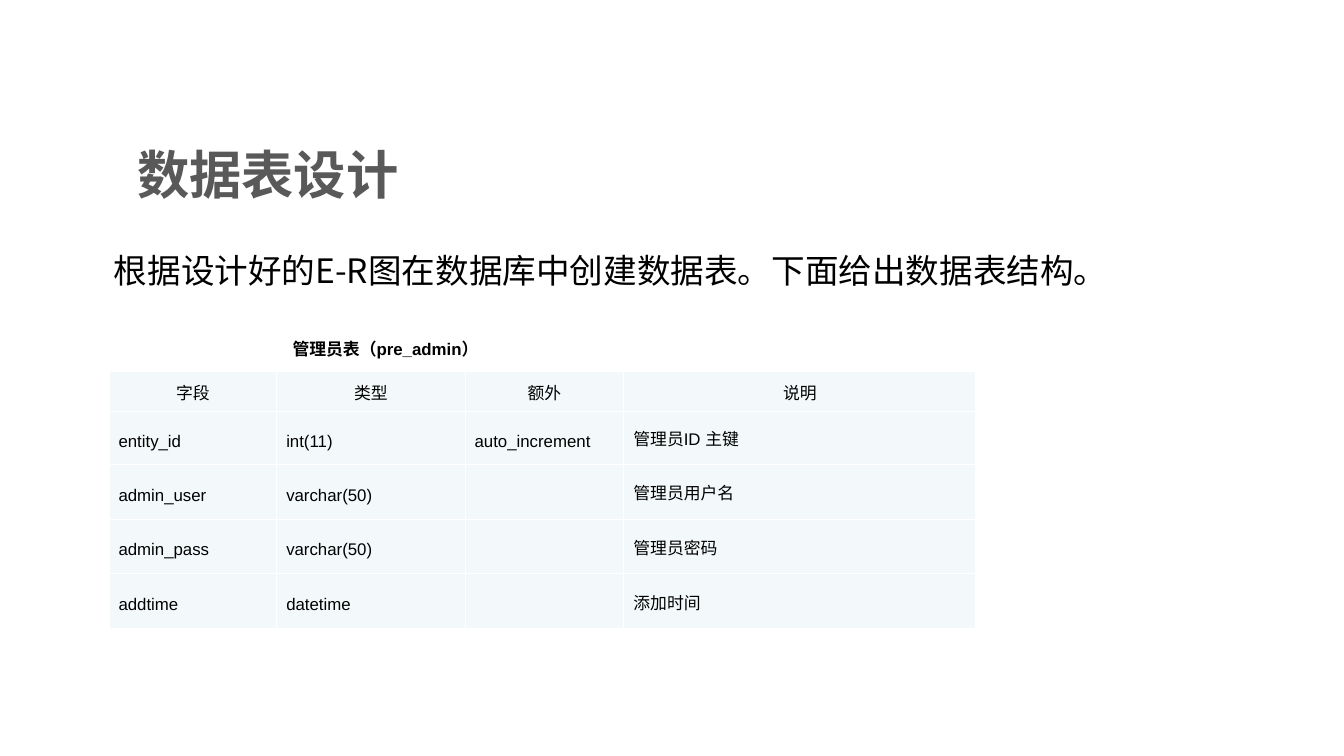
from lxml import etree
from pptx import Presentation
from pptx.dml.color import RGBColor
from pptx.enum.text import MSO_ANCHOR as Anchor, MSO_AUTO_SIZE as AutoSize, PP_ALIGN as Align
from pptx.oxml.ns import qn
from pptx.util import Cm, Pt

BLACK = RGBColor(0x00, 0x00, 0x00)
GRAY = RGBColor(0x59, 0x59, 0x59)
PALE_BLUE = RGBColor(0xF3, 0xF9, 0xFA)
WHITE = RGBColor(0xFF, 0xFF, 0xFF)
CHINESE_FONT = "Noto Sans CJK SC"
LATIN_FONT = "Arial"

COLUMN_WIDTHS = [3.17, 3.56, 3.0, 6.65]
ROW_HEIGHTS = [0.72, 1.0, 0.75, 0.75, 0.75]
ADMIN_FIELDS = [
    ["字段", "类型", "额外", "说明"],
    ["entity_id", "int(11)", "auto_increment", "管理员ID 主键"],
    ["admin_user", "varchar(50)", "", "管理员用户名"],
    ["admin_pass", "varchar(50)", "", "管理员密码"],
    ["addtime", "datetime", "", "添加时间"],
]


def add_span(para, text, size, font, color=BLACK, bold=False):
    span = para.add_run()
    span.text = text
    span.font.size = Pt(size)
    span.font.name = font
    span.font.bold = bold
    span.font.color.rgb = color
    east_asian = etree.SubElement(span._r.get_or_add_rPr(), qn("a:ea"))
    east_asian.set("typeface", CHINESE_FONT)


def place_text(shape, box, anchor=Anchor.MIDDLE):
    """Fit a text shape to its box and return its first paragraph."""
    shape.left, shape.top, shape.width, shape.height = (Cm(length) for length in box)
    frame = shape.text_frame
    frame.word_wrap = True
    frame.auto_size = AutoSize.NONE
    frame.vertical_anchor = anchor
    para = frame.paragraphs[0]
    para.alignment = Align.LEFT
    para.space_before = Pt(0)
    return para


def add_heading(page, box):
    para = place_text(page.shapes.title, box)
    add_span(para, "数据表设计", 28, CHINESE_FONT, GRAY, bold=True)


def add_introduction(page, box):
    para = place_text(page.placeholders[1], box)
    properties = para._p.get_or_add_pPr()
    properties.set("marL", "0")
    properties.set("indent", "0")
    etree.SubElement(properties, qn("a:buNone"))
    add_span(para, "根据设计好的E-R图在数据库中创建数据表。下面给出数据表结构。", 18, CHINESE_FONT)


def add_caption(page, box):
    caption = page.shapes.add_textbox(*(Cm(length) for length in box))
    para = place_text(caption, box, Anchor.TOP)
    add_span(para, "管理员表（pre_admin）", 9, LATIN_FONT, bold=True)


def draw_borders(cell, color, width):
    properties = cell._tc.get_or_add_tcPr()
    for side in ("lnL", "lnR", "lnT", "lnB"):
        line = etree.SubElement(properties, qn(f"a:{side}"), w=str(Pt(width)))
        fill = etree.SubElement(line, qn("a:solidFill"))
        etree.SubElement(fill, qn("a:srgbClr"), val=str(color))


def fill_cell(cell, text, alignment):
    draw_borders(cell, WHITE, 0.45)
    cell.fill.solid()
    cell.fill.fore_color.rgb = PALE_BLUE
    cell.vertical_anchor = Anchor.MIDDLE
    cell.margin_left = cell.margin_right = Cm(0.18)
    cell.margin_top = cell.margin_bottom = Cm(0.13)
    para = cell.text_frame.paragraphs[0]
    para.alignment = alignment
    para.line_spacing = Pt(14)
    if text:
        add_span(para, text, 9, LATIN_FONT)


def add_field_table(page, left, top):
    table = page.shapes.add_table(
        len(ROW_HEIGHTS), len(COLUMN_WIDTHS), Cm(left), Cm(top),
        Cm(sum(COLUMN_WIDTHS)), Cm(sum(ROW_HEIGHTS)),
    ).table
    for column, width in zip(table.columns, COLUMN_WIDTHS):
        column.width = Cm(width)
    for row, height, texts in zip(table.rows, ROW_HEIGHTS, ADMIN_FIELDS):
        row.height = Cm(height)
        alignment = Align.CENTER if texts is ADMIN_FIELDS[0] else Align.JUSTIFY
        for cell, text in zip(row.cells, texts):
            fill_cell(cell, text, alignment)


def main():
    deck = Presentation()
    deck.slide_width, deck.slide_height = Cm(25.4), Cm(14.29)
    page = deck.slides.add_slide(deck.slide_layouts[1])
    add_heading(page, (2.34, 2.49, 18.2, 1.6))
    add_introduction(page, (1.9, 4.6, 22.86, 1.02))
    add_field_table(page, 2.06, 7.02)
    add_caption(page, (5.28, 6.27, 10.16, 1.02))
    deck.save("out.pptx")


if __name__ == "__main__":
    main()
